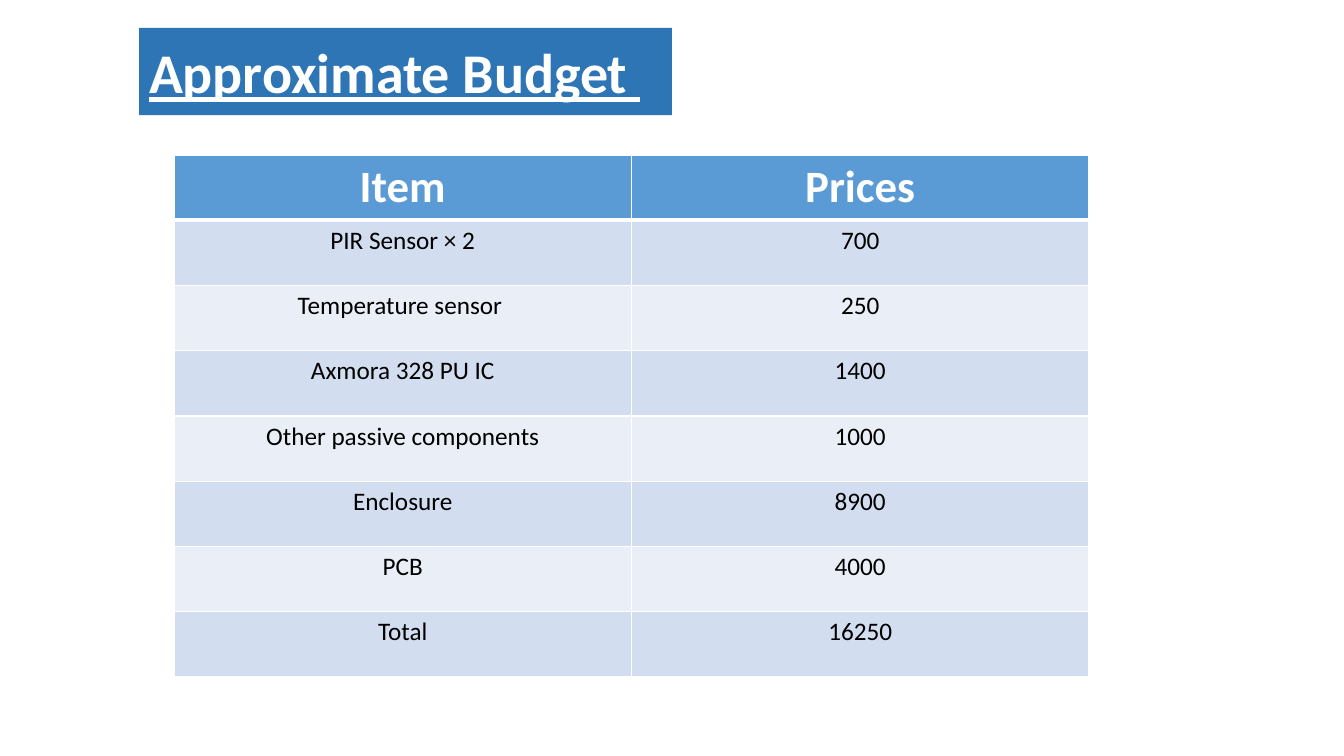
"""Build the approximate budget slide with its item and price table."""
from dataclasses import dataclass

from lxml.etree import SubElement
from pptx import Presentation
from pptx.dml.color import RGBColor
from pptx.enum.text import MSO_ANCHOR, MSO_AUTO_SIZE, PP_ALIGN
from pptx.oxml.ns import qn
from pptx.slide import Slide
from pptx.table import _Cell
from pptx.text.text import _Paragraph
from pptx.util import Emu, Pt

EMU_PER_PX = 914400 / 100.8


@dataclass(frozen=True)
class Theme:
    font: str = "Calibri"
    banner: str = "2E75B6"
    header: str = "5B9BD5"
    bands: tuple[str, str] = ("D2DEEF", "EAEFF7")
    light: str = "FFFFFF"
    dark: str = "000000"
    title_size: int = 40
    header_size: int = 32
    body_size: int = 18
    rule: int = 1
    header_rule: int = 3


@dataclass(frozen=True)
class Box:
    left: int
    top: int
    width: int
    height: int

    def emu(self) -> tuple[Emu, Emu, Emu, Emu]:
        return px(self.left), px(self.top), px(self.width), px(self.height)


@dataclass(frozen=True)
class BudgetLine:
    item: str
    price: str


THEME = Theme()
TITLE_BOX = Box(139, 28, 533, 87)
TABLE_BOX = Box(174, 155, 915, 522)
BUDGET = (
    BudgetLine("Item", "Prices"),
    BudgetLine("PIR Sensor × 2", "700"),
    BudgetLine("Temperature sensor ", "250"),
    BudgetLine("Axmora 328 PU IC", "1400"),
    BudgetLine("Other passive components", "1000"),
    BudgetLine("Enclosure", "8900"),
    BudgetLine("PCB", "4000"),
    BudgetLine("Total", "16250"),
)


def px(length: float) -> Emu:
    return Emu(round(length * EMU_PER_PX))


def style(paragraph: _Paragraph, size: int, color: str, bold: bool, align: PP_ALIGN) -> None:
    paragraph.alignment = align
    for run in paragraph.runs:
        run.font.name = THEME.font
        run.font.size = Pt(size)
        run.font.bold = bold
        run.font.color.rgb = RGBColor.from_string(color)


def add_title(slide: Slide) -> None:
    title = slide.shapes.title
    title.left, title.top, title.width, title.height = TITLE_BOX.emu()
    geometry = SubElement(title.element.spPr, qn("a:prstGeom"), prst="roundRect")
    SubElement(geometry, qn("a:avLst"))
    title.fill.solid()
    title.fill.fore_color.rgb = RGBColor.from_string(THEME.banner)
    title.line.fill.background()
    frame = title.text_frame
    frame.text = "Approximate Budget "
    frame.word_wrap = True
    frame.auto_size = MSO_AUTO_SIZE.SHAPE_TO_FIT_TEXT
    frame.vertical_anchor = MSO_ANCHOR.MIDDLE
    heading = frame.paragraphs[0]
    style(heading, THEME.title_size, THEME.light, True, PP_ALIGN.LEFT)
    heading.runs[0].font.underline = True


def set_borders(cell: _Cell, top: int, bottom: int) -> None:
    properties = cell._tc.get_or_add_tcPr()
    widths = {"L": THEME.rule, "R": THEME.rule, "T": top, "B": bottom}
    for side, width in widths.items():
        border = SubElement(properties, qn(f"a:ln{side}"), w=str(Pt(width)))
        fill = SubElement(border, qn("a:solidFill"))
        SubElement(fill, qn("a:srgbClr"), val=THEME.light)


def fill_cell(cell: _Cell, text: str, row: int) -> None:
    is_header = row == 0
    set_borders(
        cell,
        THEME.header_rule if row == 1 else THEME.rule,
        THEME.header_rule if is_header else THEME.rule,
    )
    cell.fill.solid()
    color = THEME.header if is_header else THEME.bands[(row - 1) % 2]
    cell.fill.fore_color.rgb = RGBColor.from_string(color)
    cell.text_frame.text = text
    style(
        cell.text_frame.paragraphs[0],
        THEME.header_size if is_header else THEME.body_size,
        THEME.light if is_header else THEME.dark,
        is_header,
        PP_ALIGN.CENTER,
    )


def add_budget(slide: Slide) -> None:
    table = slide.shapes.add_table(len(BUDGET), 2, *TABLE_BOX.emu()).table
    for row, line in enumerate(BUDGET):
        for column, text in enumerate((line.item, line.price)):
            fill_cell(table.cell(row, column), text, row)


def main() -> None:
    presentation = Presentation()
    presentation.slide_width = px(1344)
    presentation.slide_height = px(756)
    slide = presentation.slides.add_slide(presentation.slide_layouts[5])
    add_title(slide)
    add_budget(slide)
    presentation.save("out.pptx")


if __name__ == "__main__":
    main()
